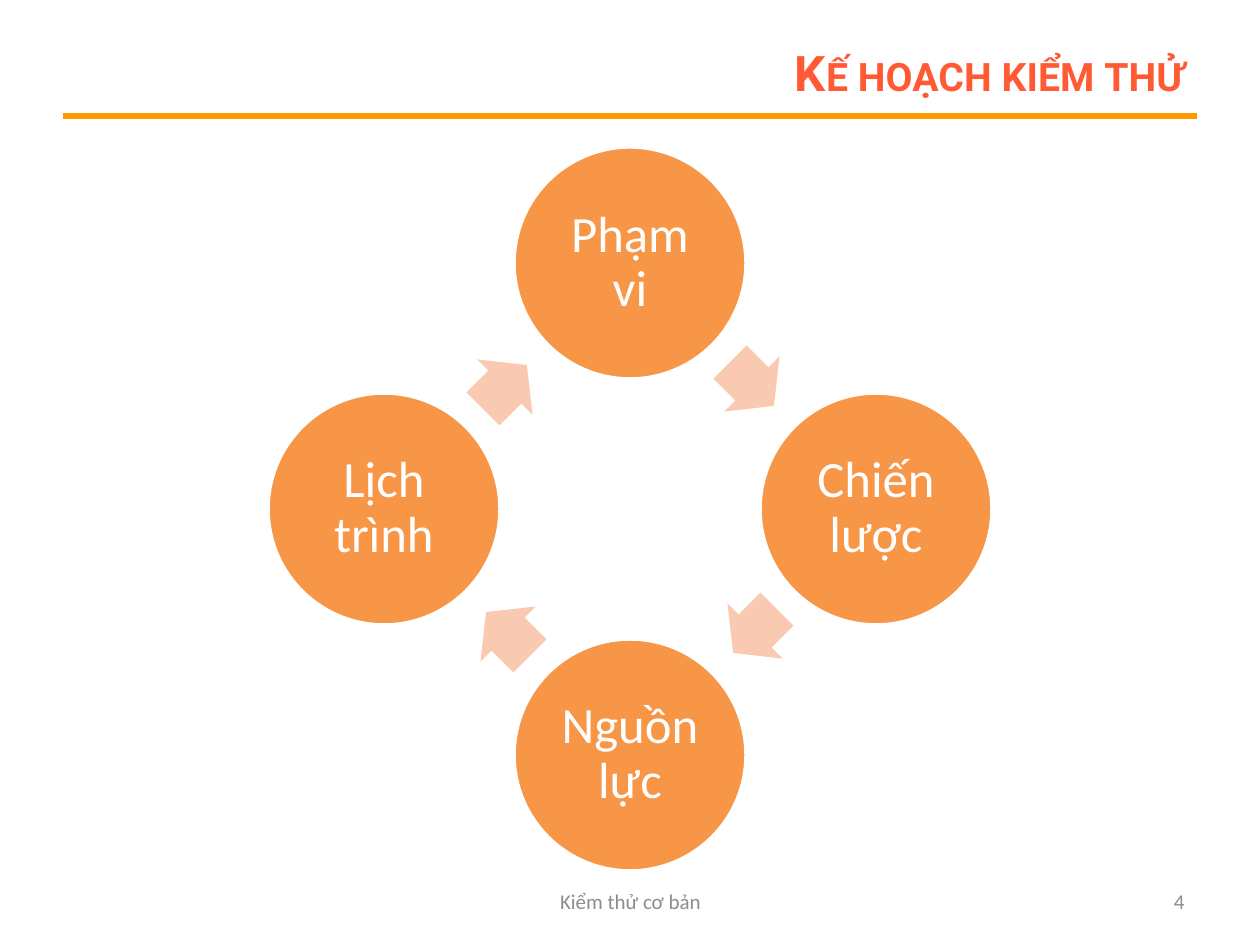
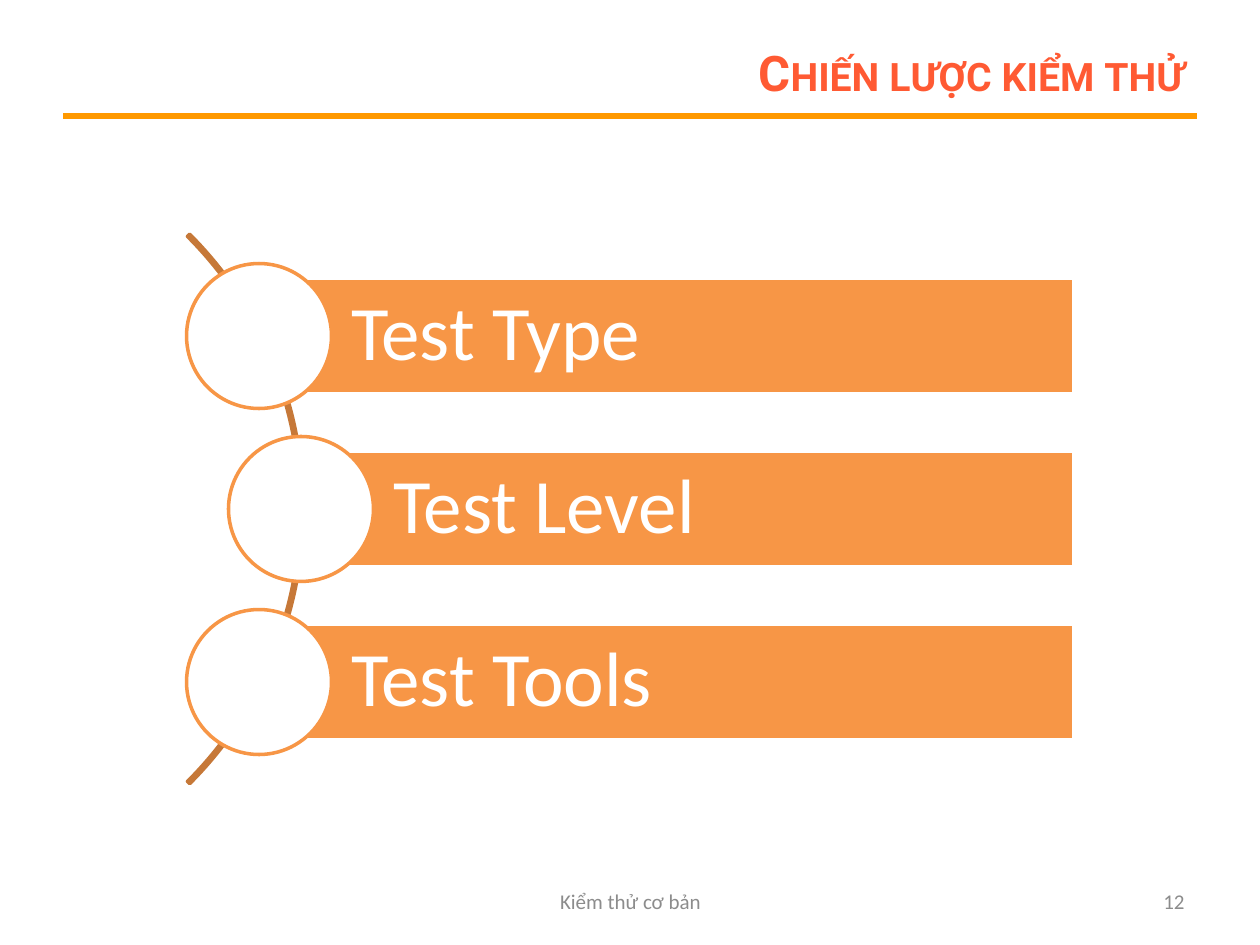
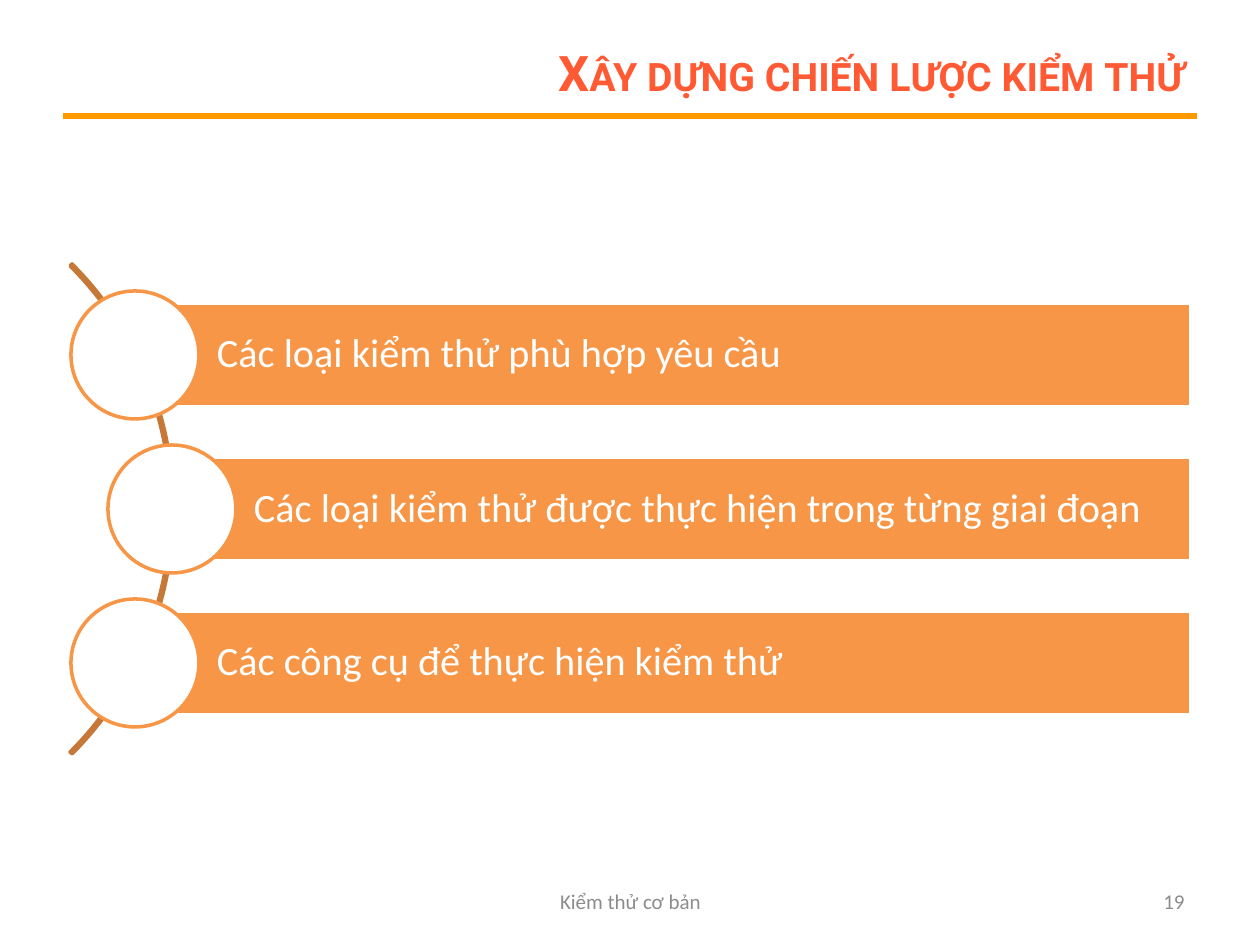
from lxml import etree
from pptx import Presentation
from pptx.dml.color import RGBColor
from pptx.enum.shapes import MSO_CONNECTOR, MSO_SHAPE
from pptx.enum.text import MSO_ANCHOR, MSO_AUTO_SIZE, PP_ALIGN
from pptx.oxml.ns import qn
from pptx.util import Pt

ELLIPSE, RECTANGLE = MSO_SHAPE.OVAL, MSO_SHAPE.RECTANGLE
RIGHT_ARROW, BLOCK_ARC = MSO_SHAPE.RIGHT_ARROW, MSO_SHAPE.BLOCK_ARC
LEFT, CENTER, RIGHT = PP_ALIGN.LEFT, PP_ALIGN.CENTER, PP_ALIGN.RIGHT
MIDDLE = MSO_ANCHOR.MIDDLE
TITLE_ONLY = 5

ORANGE, WHITE, PALE_ORANGE, BROWN = "F79646", "FFFFFF", "FAC9B1", "C67838"
TITLE_COLOR, RULE_COLOR, FOOTER_COLOR = "FF5A33", "FF9900", "8C8C8C"
TITLE_FONT, BODY_FONT = "Roboto", "Calibri"

EMU_PER_PX = 914400 / 126
SLIDE_WIDTH, SLIDE_HEIGHT = 1260, 945
MARGIN, RULE_Y = 63, 116
CENTER_X, CENTER_Y = 630, 509

FOOTER = "Kiểm thử cơ bản"

PLAN = {
    "title": "Kế hoạch kiểm thử",
    "number": 4,
    "steps": ["Phạm vi", "Chiến lược", "Nguồn lực", "Lịch trình"],
}
STRATEGIES = [
    {
        "title": "Chiến lược kiểm thử",
        "number": 12,
        "items": ["Test Type", "Test Level", "Test Tools"],
        "size": 44, "row_step": 173, "bar_height": 116, "bar_right": 1074,
        "circle": 145, "circle_xs": (259, 301, 259),
        "arc": 777, "arc_x": -85, "indent": 92, "padding": 15,
    },
    {
        "title": "Xây dựng chiến lược kiểm thử",
        "number": 19,
        "items": [
            "Các loại kiểm thử phù hợp yêu cầu",
            "Các loại kiểm thử được thực hiện trong từng giai đoạn",
            "Các công cụ để thực hiện kiểm thử",
        ],
        "size": 23, "row_step": 154, "bar_height": 103, "bar_right": 1191,
        "circle": 128, "circle_xs": (135, 172, 135),
        "arc": 693, "arc_x": -173, "indent": 82, "padding": 8,
    },
]


def px(*values):
    """Turn pixel lengths into a list of EMU."""
    return [round(value * EMU_PER_PX) for value in values]


def color(hex_string):
    return RGBColor.from_string(hex_string)


def centered(x, y, width, height):
    """Give the box of this size around a centre point."""
    return x - width / 2, y - height / 2, width, height


def write(shape, text, size, text_color, align, font=BODY_FONT):
    frame = shape.text_frame
    frame.word_wrap = True
    frame.auto_size = MSO_AUTO_SIZE.NONE
    frame.vertical_anchor = MIDDLE
    frame.text = text
    paragraph = frame.paragraphs[0]
    paragraph.alignment = align
    paragraph.font.name = font
    paragraph.font.size = Pt(size)
    paragraph.font.color.rgb = color(text_color)
    return paragraph


def set_insets(shape, left, others):
    frame = shape.text_frame
    frame.margin_left, frame.margin_right = px(left, others)
    frame.margin_top, frame.margin_bottom = px(others, others)


def add_shape(slide, kind, box, fill=None, line=None):
    shape = slide.shapes.add_shape(kind, *px(*box))
    shape.shadow.inherit = False
    if fill:
        shape.fill.solid()
        shape.fill.fore_color.rgb = color(fill)
    else:
        shape.fill.background()
    if line:
        shape.line.color.rgb = color(line)
        shape.line.width = Pt(2)
    else:
        shape.line.fill.background()
    return shape


def add_base_slide(presentation, title, number):
    """Add a slide with its title, rule, footer and page number."""
    slide = presentation.slides.add_slide(presentation.slide_layouts[TITLE_ONLY])
    right = SLIDE_WIDTH - MARGIN

    rule = slide.shapes.add_connector(
        MSO_CONNECTOR.STRAIGHT, *px(MARGIN, RULE_Y, right, RULE_Y))
    rule.line.color.rgb = color(RULE_COLOR)
    rule.line.width = Pt(3)
    etree.SubElement(rule._element.spPr, qn("a:effectLst"))

    heading = slide.shapes.title
    heading.left, heading.top, heading.width, heading.height = px(
        284, 38, right - 284, 67)
    paragraph = write(heading, title, 28, TITLE_COLOR, RIGHT, TITLE_FONT)
    paragraph.font.bold = True
    paragraph.font._element.set("cap", "small")

    for text, left, width, align in (
        (FOOTER, 431, 399, CENTER),
        (str(number), 903, 294, RIGHT),
    ):
        footer = slide.shapes.add_textbox(*px(left, 876, width, 50))
        write(footer, text, 12, FOOTER_COLOR, align)
    return slide


def add_cycle(slide, steps):
    """Place the steps clockwise from the top, with an arrow after each."""
    circle_x, circle_y = 0, -246
    arrow_x, arrow_y = 122, -125
    for index, step in enumerate(steps):
        box = centered(CENTER_X + circle_x, CENTER_Y + circle_y, 232, 232)
        circle = add_shape(slide, ELLIPSE, box, ORANGE, WHITE)
        write(circle, step, 29, WHITE, CENTER).line_spacing = 0.9
        set_insets(circle, 5, 5)

        box = centered(CENTER_X + arrow_x, CENTER_Y + arrow_y, 62, 78)
        arrow = add_shape(slide, RIGHT_ARROW, box, PALE_ORANGE)
        arrow.adjustments[0] = 0.6
        arrow.adjustments[1] = 0.5
        arrow.rotation = 45 + 90 * index

        circle_x, circle_y = -circle_y, circle_x
        arrow_x, arrow_y = -arrow_y, arrow_x


def add_curved_list(slide, content):
    """Place bars with round markers along an arc."""
    size = content["arc"]
    arc = add_shape(slide, BLOCK_ARC,
                    centered(content["arc_x"], CENTER_Y, size, size), line=BROWN)
    for index, value in enumerate((189, 27, 0.004)):
        arc.adjustments[index] = value

    height, diameter = content["bar_height"], content["circle"]
    for row, (item, x) in enumerate(zip(content["items"], content["circle_xs"])):
        y = CENTER_Y + (row - 1) * content["row_step"]
        box = (x, y - height / 2, content["bar_right"] - x, height)
        bar = add_shape(slide, RECTANGLE, box, ORANGE, WHITE)
        write(bar, item, content["size"], WHITE, LEFT).line_spacing = 0.9
        set_insets(bar, content["indent"], content["padding"])
        add_shape(slide, ELLIPSE, centered(x, y, diameter, diameter), WHITE, ORANGE)


def main():
    presentation = Presentation()
    presentation.slide_width, presentation.slide_height = px(SLIDE_WIDTH, SLIDE_HEIGHT)
    slide = add_base_slide(presentation, PLAN["title"], PLAN["number"])
    add_cycle(slide, PLAN["steps"])
    for content in STRATEGIES:
        slide = add_base_slide(presentation, content["title"], content["number"])
        add_curved_list(slide, content)
    presentation.save("out.pptx")


if __name__ == "__main__":
    main()
